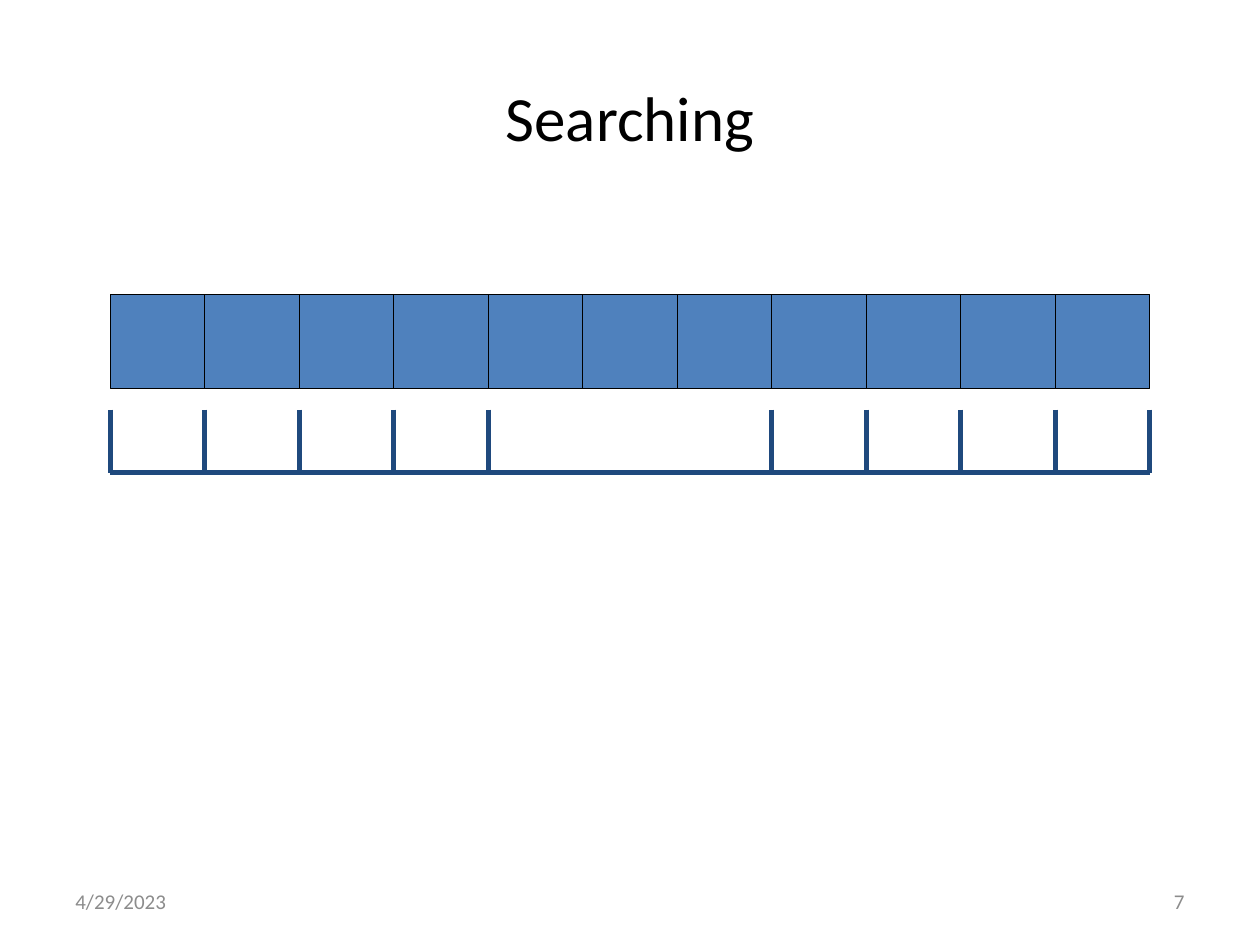
from dataclasses import dataclass

from lxml import etree
from pptx import Presentation
from pptx import util as u
from pptx.dml.color import RGBColor
from pptx.enum import shapes, text
from pptx.oxml.ns import qn

PX = 4572  # EMU per px, 200 px to the inch


@dataclass(frozen=True)
class Theme:
    font: str = "Calibri"
    ink: str = "000000"
    cell: str = "4F81BD"
    brace: str = "1F497D"
    muted: str = "8C8C8C"
    title: int = 36
    foot: int = 12
    thin: float = 0.75
    thick: float = 3


@dataclass(frozen=True)
class Label:
    words: str
    left: int
    top: int
    width: int
    height: int
    size: int
    color: str
    align: text.PP_ALIGN


@dataclass(frozen=True)
class Window:
    first: int  # index of the first cell covered
    span: int = 7


THEME = Theme()

# Array of cells and the windows that slide along it
LEFT, TOP, SIDE, COUNT = 175, 467, 150, 11
TICK, BASE = 650, 750
WINDOWS = [Window(i) for i in range(5)]

LABELS = [
    Label("Searching", 100, 60, 1800, 250, THEME.title, THEME.ink,
          text.PP_ALIGN.CENTER),
    Label("4/29/2023", 100, 1390, 466, 80, THEME.foot, THEME.muted,
          text.PP_ALIGN.LEFT),
    Label("7", 1434, 1390, 466, 80, THEME.foot, THEME.muted,
          text.PP_ALIGN.RIGHT),
]


def px(*values: int) -> list[u.Emu]:
    return [u.Emu(v * PX) for v in values]


def rgb(code: str) -> RGBColor:
    return RGBColor.from_string(code)


def draw_label(slide, label: Label) -> None:
    box = slide.shapes.add_textbox(
        *px(label.left, label.top, label.width, label.height))
    frame = box.text_frame
    frame.word_wrap = True
    frame.vertical_anchor = text.MSO_ANCHOR.MIDDLE
    para = frame.paragraphs[0]
    para.text = label.words
    para.alignment = label.align
    para.font.name = THEME.font
    para.font.size = u.Pt(label.size)
    para.font.color.rgb = rgb(label.color)


def draw_cell(group, index: int) -> None:
    cell = group.shapes.add_shape(
        shapes.MSO_SHAPE.RECTANGLE,
        *px(LEFT + index * SIDE, TOP, SIDE, SIDE))
    cell.shadow.inherit = False
    cell.fill.solid()
    cell.fill.fore_color.rgb = rgb(THEME.cell)
    cell.line.color.rgb = rgb(THEME.ink)
    cell.line.width = u.Pt(THEME.thin)


def draw_line(group, x1: int, y1: int, x2: int, y2: int) -> None:
    line = group.shapes.add_connector(
        shapes.MSO_CONNECTOR.STRAIGHT, *px(x1, y1, x2, y2))
    line.line.color.rgb = rgb(THEME.brace)
    line.line.width = u.Pt(THEME.thick)
    etree.SubElement(line._element.spPr, qn("a:effectLst"))


def draw_window(slide, window: Window) -> None:
    group = slide.shapes.add_group_shape()
    start = LEFT + window.first * SIDE
    end = start + window.span * SIDE
    for x in (start, end):
        draw_line(group, x, TICK, x, BASE)
    draw_line(group, start, BASE, end, BASE)


def main() -> None:
    deck = Presentation()
    deck.slide_width, deck.slide_height = px(2000, 1500)
    slide = deck.slides.add_slide(deck.slide_layouts[6])

    # Array
    row = slide.shapes.add_group_shape()
    for index in range(COUNT):
        draw_cell(row, index)

    # Search windows
    for window in WINDOWS:
        draw_window(slide, window)

    # Title and footer
    for label in LABELS:
        draw_label(slide, label)

    deck.save("out.pptx")


if __name__ == "__main__":
    main()
